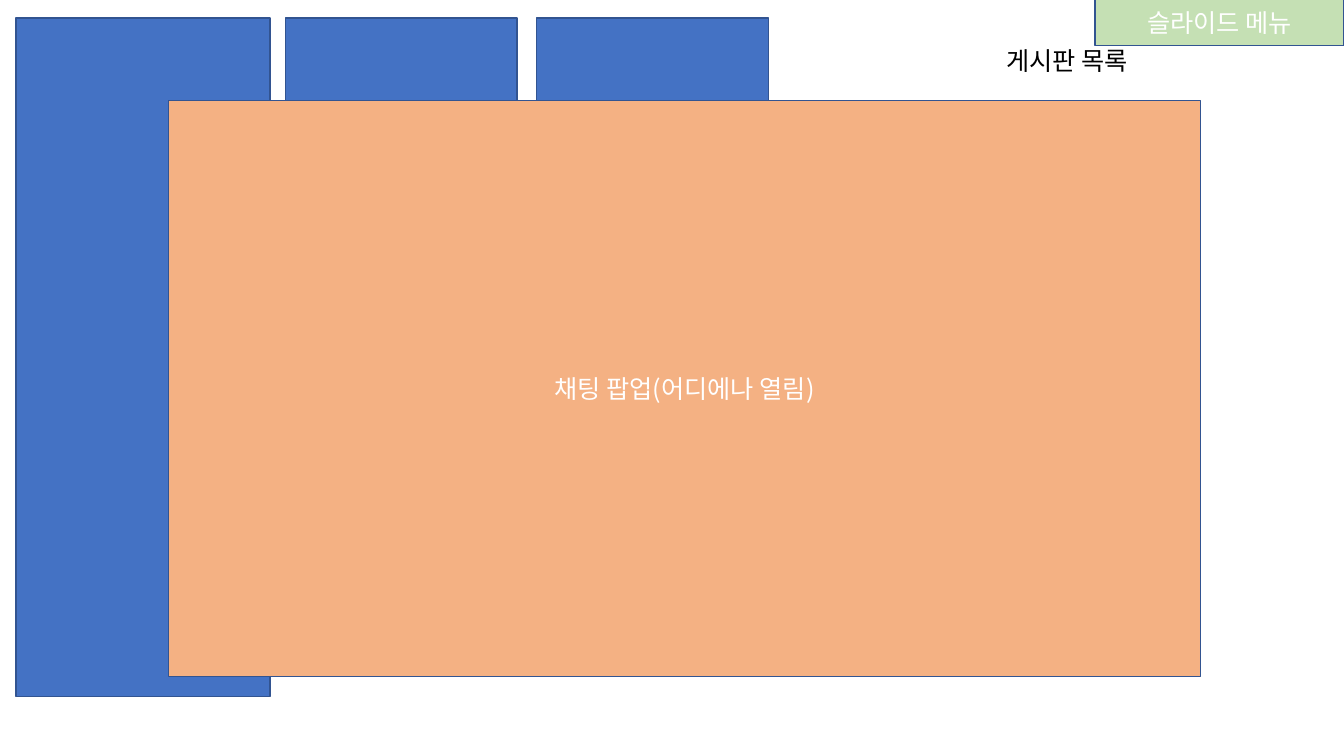
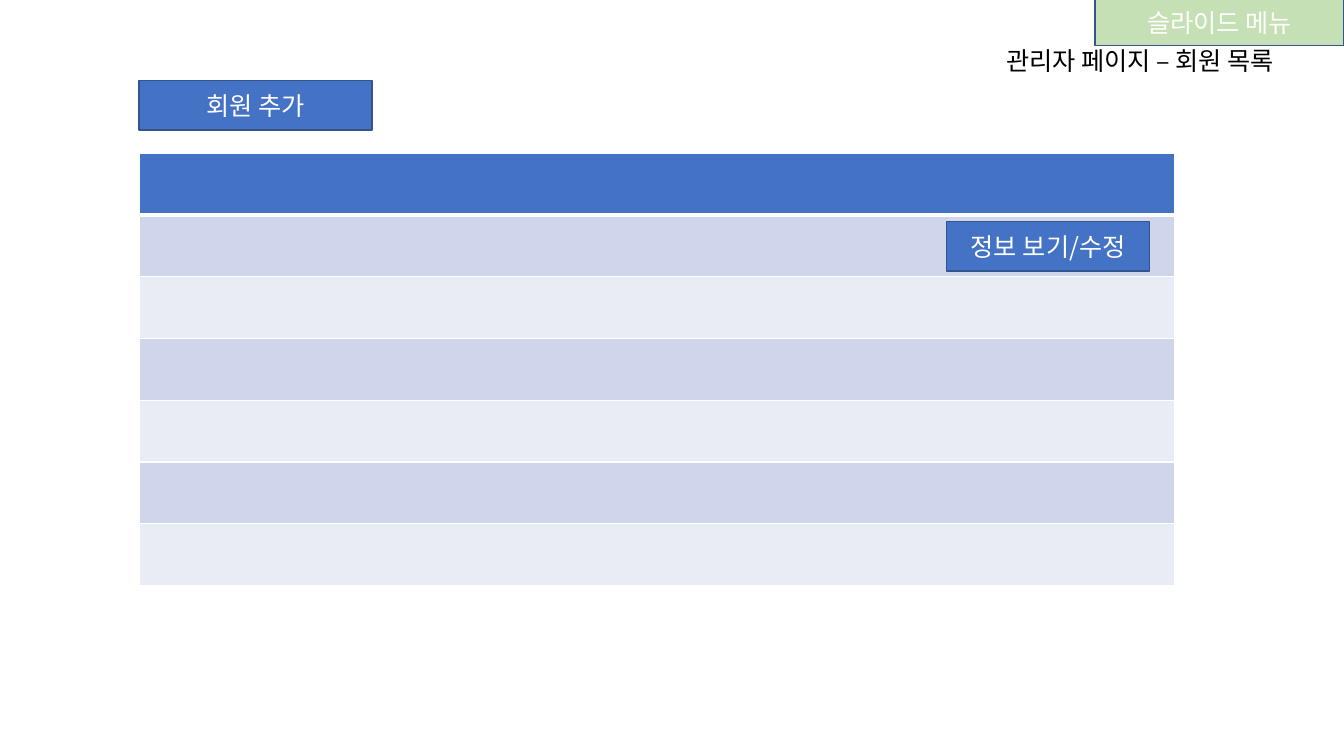
from lxml import etree
from pptx import Presentation, util as u
from pptx.dml.color import RGBColor
from pptx.enum import shapes, text
from pptx.oxml.ns import qn

FONT = "Noto Sans CJK KR"
COLORS = {
    "blue": "4472C4", "outline": "325491", "orange": "F4B183", "green": "C5E0B4",
    "band_dark": "CFD5EA", "band_light": "E9EBF5", "white": "FFFFFF", "black": "000000",
}


def write(frame, words, color):
    para = frame.paragraphs[0]
    span = para.add_run()
    span.text = words
    span.font.size = u.Pt(18)
    span.font.name = FONT
    span.font.color.rgb = RGBColor.from_string(COLORS[color])
    # East Asian typeface for the Korean letters
    etree.SubElement(span.font._element, qn("a:ea"), typeface=FONT)
    return para


def add_box(page, left, top, width, height, fill, words=""):
    box = page.shapes.add_shape(
        shapes.MSO_SHAPE.RECTANGLE,
        u.Inches(left), u.Inches(top), u.Inches(width), u.Inches(height))
    box.shadow.inherit = False
    box.fill.solid()
    box.fill.fore_color.rgb = RGBColor.from_string(COLORS[fill])
    box.line.color.rgb = RGBColor.from_string(COLORS["outline"])
    box.line.width = u.Pt(1)
    if words:
        box.text_frame.vertical_anchor = text.MSO_ANCHOR.MIDDLE
        write(box.text_frame, words, "white").alignment = text.PP_ALIGN.CENTER


deck = Presentation()
deck.slide_width = u.Inches(13.33)
deck.slide_height = u.Inches(7.5)
board_page, member_page = [deck.slides.add_slide(deck.slide_layouts[6]) for _ in range(2)]

# Board list: three columns behind the chat popup
for left, width, height in [(0.16, 2.52, 6.73), (2.83, 2.3, 1.54), (5.32, 2.3, 1.54)]:
    add_box(board_page, left, 0.18, width, height, "blue")
add_box(board_page, 1.67, 1, 10.24, 5.71, "orange", "채팅 팝업(어디에나 열림)")

# Member list: one-column table with a header and banded rows
row_fills = ["blue"] + ["band_dark", "band_light"] * 3
table = member_page.shapes.add_table(
    len(row_fills), 1, u.Inches(1.38), u.Inches(1.52), u.Inches(10.27), u.Inches(4.29)).table
for index, fill in enumerate(row_fills):
    cell = table.cell(index, 0)
    properties = cell._tc.get_or_add_tcPr()
    for side in ("lnL", "lnR", "lnT", "lnB"):
        thick = (index, side) in [(0, "lnB"), (1, "lnT")]
        border = etree.SubElement(properties, qn(f"a:{side}"), w=str(u.Pt(3 if thick else 1)))
        paint = etree.SubElement(border, qn("a:solidFill"))
        etree.SubElement(paint, qn("a:srgbClr"), val=COLORS["white"])
    cell.fill.solid()
    cell.fill.fore_color.rgb = RGBColor.from_string(COLORS[fill])

# Page title and slide menu on both pages
for page, title, width in [(board_page, "게시판 목록", 1.55),
                           (member_page, "관리자 페이지 – 회원 목록", 3.21)]:
    label = page.shapes.add_textbox(
        u.Inches(9.88), u.Inches(0.4), u.Inches(width), u.Inches(0.4))
    label.text_frame.word_wrap = False
    label.text_frame.auto_size = text.MSO_AUTO_SIZE.SHAPE_TO_FIT_TEXT
    write(label.text_frame, title, "black")
    add_box(page, 10.86, -0.01, 2.47, 0.46, "green", "슬라이드 메뉴")

# Member list buttons
add_box(member_page, 1.38, 0.8, 2.31, 0.49, "blue", "회원 추가")
add_box(member_page, 9.39, 2.2, 2.01, 0.49, "blue", "정보 보기/수정")

deck.save("out.pptx")
